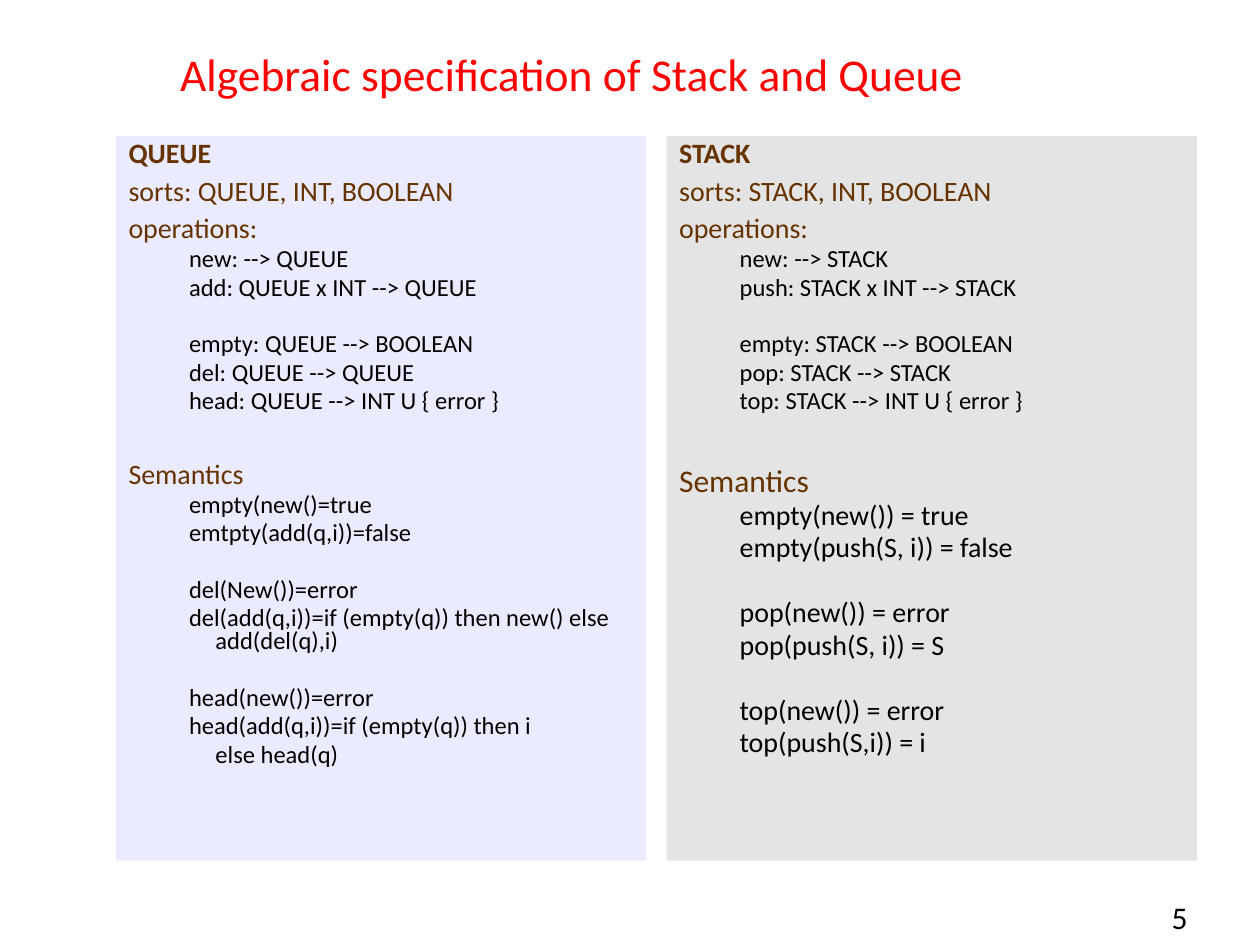
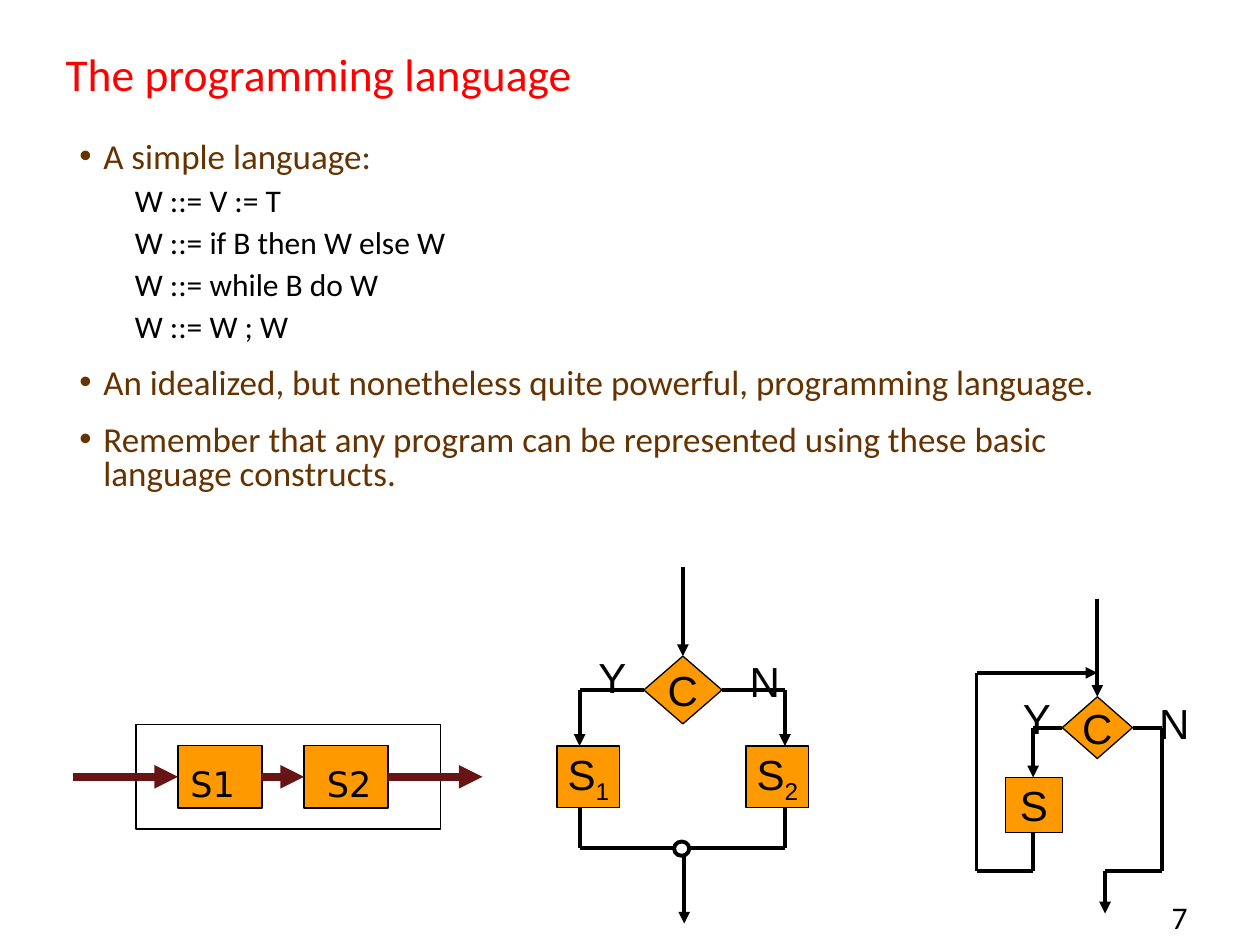
from dataclasses import dataclass
from itertools import pairwise

from lxml.etree import SubElement
from pptx import Presentation
from pptx.dml.color import RGBColor
from pptx.enum.shapes import MSO_CONNECTOR, MSO_SHAPE
from pptx.enum.text import MSO_ANCHOR, MSO_AUTO_SIZE, PP_ALIGN
from pptx.oxml.ns import qn
from pptx.util import Inches, Pt


@dataclass(frozen=True)
class Theme:
    """Colours, fonts and type sizes shared by the slides."""
    title: str = "FF0000"
    heading: str = "663300"
    ink: str = "000000"
    paper: str = "FFFFFF"
    node: str = "FF9900"
    flow: str = "661414"
    queue: str = "EBEBFF"
    stack: str = "D7D7D7"
    body_font: str = "Calibri"
    node_font: str = "Arial"
    label_font: str = "DejaVu Sans"
    title_size: int = 26
    number_size: int = 18
    node_size: int = 24
    label_size: int = 20
    line_spacing: float = 0.8
    blank_line: float = 0.98  # height of an empty line, as a share of type size


THEME = Theme()


@dataclass(frozen=True)
class Grid:
    """A box in inches, divided into columns and rows."""
    left: float
    top: float
    width: float
    height: float
    columns: int = 100
    rows: int = 100

    def point(self, column, row):
        """Return the place of a grid crossing."""
        return (Inches(self.left + self.width * column / self.columns),
                Inches(self.top + self.height * row / self.rows))

    def area(self, column=0, row=0, columns=None, rows=None):
        """Return left, top, width and height of some grid cells."""
        wide = self.columns if columns is None else columns
        high = self.rows if rows is None else rows
        return (*self.point(column, row),
                Inches(self.width * wide / self.columns),
                Inches(self.height * high / self.rows))


@dataclass(frozen=True)
class Style:
    """Format of one kind of paragraph; lengths in inches, before as a share."""
    size: int
    color: str
    before: float
    margin: float
    indent: float
    level: int = 0
    bold: bool = False
    bullet: bool = False


def apply(target, **values):
    """Set the given attributes on an object."""
    for name, value in values.items():
        setattr(target, name, value)


def paint(span, size, color, font=THEME.body_font, bold=False):
    """Set the type of a run."""
    apply(span.font, size=Pt(size), name=font, bold=bold)
    span.font.color.rgb = RGBColor.from_string(color)


def place(shape, area):
    """Move a shape to an area."""
    apply(shape, **dict(zip(("left", "top", "width", "height"), area)))


def set_title(page, text, box):
    """Fill and format the title placeholder."""
    title = page.shapes.title
    place(title, box.area())
    frame = title.text_frame
    frame.text = text
    apply(frame, vertical_anchor=MSO_ANCHOR.MIDDLE, auto_size=MSO_AUTO_SIZE.NONE)
    frame.paragraphs[0].alignment = PP_ALIGN.LEFT
    paint(frame.paragraphs[0].runs[0], THEME.title_size, THEME.title)


def add_number(page, text):
    """Add the slide number at the bottom right."""
    box = page.shapes.add_textbox(*Grid(8.75, 7.08, 0.83, 0.25).area())
    box.text_frame.word_wrap = True
    para = box.text_frame.paragraphs[0]
    para.alignment = PP_ALIGN.RIGHT
    span = para.add_run()
    span.text = text
    paint(span, THEME.number_size, THEME.ink)


def fill_list(holder, box, lines):
    """Write (text, style, gap) lines in a body placeholder."""
    place(holder, box.area())
    frame = holder.text_frame
    apply(frame, auto_size=MSO_AUTO_SIZE.NONE, vertical_anchor=MSO_ANCHOR.TOP)
    for index, (text, style, gap) in enumerate(lines):
        para = frame.add_paragraph() if index else frame.paragraphs[0]
        before = style.before * style.size if index else 0
        if gap:
            before = 2 * before + THEME.blank_line * style.size
        apply(para, level=style.level, line_spacing=THEME.line_spacing,
              space_before=Pt(round(before, 1)), alignment=PP_ALIGN.LEFT)
        properties = para._p.get_or_add_pPr()
        properties.set("marL", str(Inches(style.margin)))
        properties.set("indent", str(Inches(style.indent)))
        if style.bullet:
            SubElement(properties, qn("a:buChar")).set("char", "•")
        else:
            SubElement(properties, qn("a:buNone"))
        span = para.add_run()
        span.text = text
        paint(span, style.size, style.color, bold=style.bold)


def add_panel(holder, box, fill, name, operations, semantics, size, alpha=None):
    """Fill one column with an abstract type: its sorts, operations, axioms."""
    def heading(points, bold=False):
        return Style(points, THEME.heading, 0.38, 0.26, -0.26, bold=bold)

    def items(groups, points):
        for number, group in enumerate(groups):
            for index, text in enumerate(group):
                indent = 0 if text.startswith("else") else -0.21
                style = Style(points, THEME.ink, 0.19, 0.69, indent, level=1)
                yield text, style, number > 0 and index == 0

    fill_list(holder, box, [
        (name, heading(16, True), False),
        (f"sorts: {name}, INT, BOOLEAN", heading(16), False),
        ("operations:", heading(16), False),
        *items(operations, 14),
        ("Semantics", heading(size + 2), True),
        *items(semantics, size)])
    holder.fill.solid()
    holder.fill.fore_color.rgb = RGBColor.from_string(fill)
    if alpha:
        color = holder._element.spPr.find(".//" + qn("a:srgbClr"))
        SubElement(color, qn("a:alpha")).set("val", str(alpha * 1000))


def add_route(group, box, points, arrow=False, color=THEME.ink, width=2.25):
    """Join points with straight lines; an arrow ends the last one."""
    segments = list(pairwise(points))
    for index, (start, end) in enumerate(segments, 1):
        line = group.shapes.add_connector(
            MSO_CONNECTOR.STRAIGHT, *box.point(*start), *box.point(*end))
        line.line.width = Pt(width)
        line.line.color.rgb = RGBColor.from_string(color)
        if arrow and index == len(segments):
            SubElement(line.line._get_or_add_ln(), qn("a:tailEnd")).set("type", "triangle")
        SubElement(line._element.spPr, qn("a:effectLst"))


def add_node(group, area, kind=MSO_SHAPE.RECTANGLE, text="", below="",
             fill=THEME.node, width=0.75):
    """Add an outlined shape with centred text and an optional subscript."""
    node = group.shapes.add_shape(kind, *area)
    node.shadow.inherit = False
    if fill:
        node.fill.solid()
        node.fill.fore_color.rgb = RGBColor.from_string(fill)
    else:
        node.fill.background()
    node.line.width = Pt(width)
    node.line.color.rgb = RGBColor.from_string(THEME.ink)
    apply(node.text_frame, word_wrap=False, vertical_anchor=MSO_ANCHOR.MIDDLE)
    para = node.text_frame.paragraphs[0]
    para.alignment = PP_ALIGN.CENTER
    for part in filter(None, (text, below)):
        span = para.add_run()
        span.text = part
        paint(span, THEME.node_size, THEME.ink, THEME.node_font)
        if part == below:
            span._r.get_or_add_rPr().set("baseline", "-25000")


def add_label(group, area, text, size=THEME.node_size, font=THEME.node_font):
    """Add a free label."""
    label = group.shapes.add_textbox(*area)
    label.text_frame.word_wrap = False
    span = label.text_frame.paragraphs[0].add_run()
    span.text = text
    paint(span, size, THEME.ink, font)


def draw_sequence(page, box):
    """Draw two statements, one after the other, in a frame."""
    group = page.shapes.add_group_shape()
    for column in (10, 22):
        add_node(group, box.area(column, 2, 8, 6))
    add_node(group, box.area(6, 0, 29, 10), fill=None)
    for start, end in ((0, 10), (18, 22), (30, 39)):
        add_route(group, box, [(start, 5), (end, 5)], True, THEME.flow, 4.5)
    for column, text in ((10, "S1"), (23, "S2")):
        add_label(group, box.area(column, 3, 7, 5.3), text,
                  THEME.label_size, THEME.label_font)


def draw_branch(page, box):
    """Draw a condition with two branches that meet again."""
    group = page.shapes.add_group_shape()
    add_route(group, box, [(50.5, 79), (50.5, 100)], True)
    add_route(group, box, [(50, 0), (50, 25)], True)
    add_node(group, box.area(34.5, 25, 31, 19), MSO_SHAPE.DIAMOND, "C")
    for left, arm, side, join, number in ((0, 9, 34.5, 46.5, "1"),
                                          (75, 90.5, 65.5, 53, "2")):
        add_node(group, box.area(left, 50.2, 25, 17.3), text="S", below=number)
        add_route(group, box, [(side, 34.6), (arm, 34.6), (arm, 50.2)], True)
        add_route(group, box, [(arm, 67.5), (arm, 78.8), (join, 78.8)])
    add_node(group, box.area(46.5, 77, 6, 4), MSO_SHAPE.OVAL,
             fill=THEME.paper, width=2.25)
    add_label(group, box.area(11.5, 22, 21.5, 18), "Y")
    add_label(group, box.area(71.5, 23, 22.5, 18), "N")


def draw_loop(page, box):
    """Draw a condition whose statement leads back to it."""
    group = page.shapes.add_group_shape()
    add_node(group, box.area(37.8, 31.2, 31, 19.6), MSO_SHAPE.DIAMOND, "C")
    add_node(group, box.area(12.8, 56.8, 25, 17.6), text="S")
    add_route(group, box, [(53.3, 0), (53.3, 31.2)], True)
    add_route(group, box, [(37.8, 41.2), (25, 41.2), (25, 56.8)], True)
    add_route(group, box, [(25, 74.4), (25, 86.4), (0, 86.4), (0, 23.6), (53.3, 23.6)], True)
    add_route(group, box, [(68.9, 41.2), (81.7, 41.2), (81.7, 86.4),
                           (56.7, 86.4), (56.7, 100)], True)
    add_label(group, box.area(15, 28, 24, 20), "Y")
    add_label(group, box.area(75, 29.6, 25, 20), "N")


def build_types(deck):
    """Build the slide that compares the two abstract types."""
    page = deck.slides.add_slide(deck.slide_layouts[3])
    set_title(page, "Algebraic specification of Stack and Queue", Grid(1.33, 0.33, 9.08, 0.5))
    add_number(page, "5 ")
    add_panel(
        page.placeholders[1], Grid(0.92, 1.08, 4.21, 5.75), THEME.queue, "QUEUE",
        [["new: --> QUEUE", "add: QUEUE x INT --> QUEUE"],
         ["empty: QUEUE --> BOOLEAN", "del: QUEUE --> QUEUE", "head: QUEUE --> INT U { error }"]],
        [["empty(new()=true", "emtpty(add(q,i))=false"],
         ["del(New())=error", "del(add(q,i))=if (empty(q)) then new() else add(del(q),i)"],
         ["head(new())=error", "head(add(q,i))=if (empty(q)) then i", "else head(q)"]], 14)
    add_panel(
        page.placeholders[2], Grid(5.29, 1.08, 4.21, 5.75), THEME.stack, "STACK",
        [["new: --> STACK", "push: STACK x INT --> STACK"],
         ["empty: STACK --> BOOLEAN", "pop: STACK --> STACK", "top: STACK --> INT U { error }"]],
        [["empty(new()) = true", "empty(push(S, i)) = false"],
         ["pop(new()) = error", "pop(push(S, i)) = S"],
         ["top(new()) = error", "top(push(S,i)) = i"]], 16, alpha=66)


def build_language(deck):
    """Build the slide with the grammar and its three flow charts."""
    page = deck.slides.add_slide(deck.slide_layouts[1])
    set_title(page, "The programming language", Grid(0.42, 0.33, 9.08, 0.5))
    add_number(page, "7 ")
    point = Style(20, THEME.heading, 0.68, 0.19, -0.19, bullet=True)
    rule = Style(18, THEME.ink, 0.38, 0.75, -0.31, level=1)
    rules = ("V := T", "if B then W else W", "while B do W", "W ; W")
    fill_list(page.placeholders[1], Grid(0.53, 1.08, 8.89, 3.58), [
        ("A simple language:", point, False),
        *((f"W ::= {text}", rule, False) for text in rules),
        ("An idealized, but nonetheless quite powerful, programming language.", point, False),
        ("Remember that any program can be represented using these basic "
         "language constructs.", point, False)])
    draw_loop(page, Grid(7.75, 4.75, 1.8, 2.5))
    draw_branch(page, Grid(4.42, 4.5, 2, 2.83))
    draw_sequence(page, Grid(0.58, 5.75, 3.25, 0.83, 39, 10))


deck = Presentation()
apply(deck, slide_width=Inches(10), slide_height=Inches(7.5))
build_types(deck)
build_language(deck)
deck.save("out.pptx")
